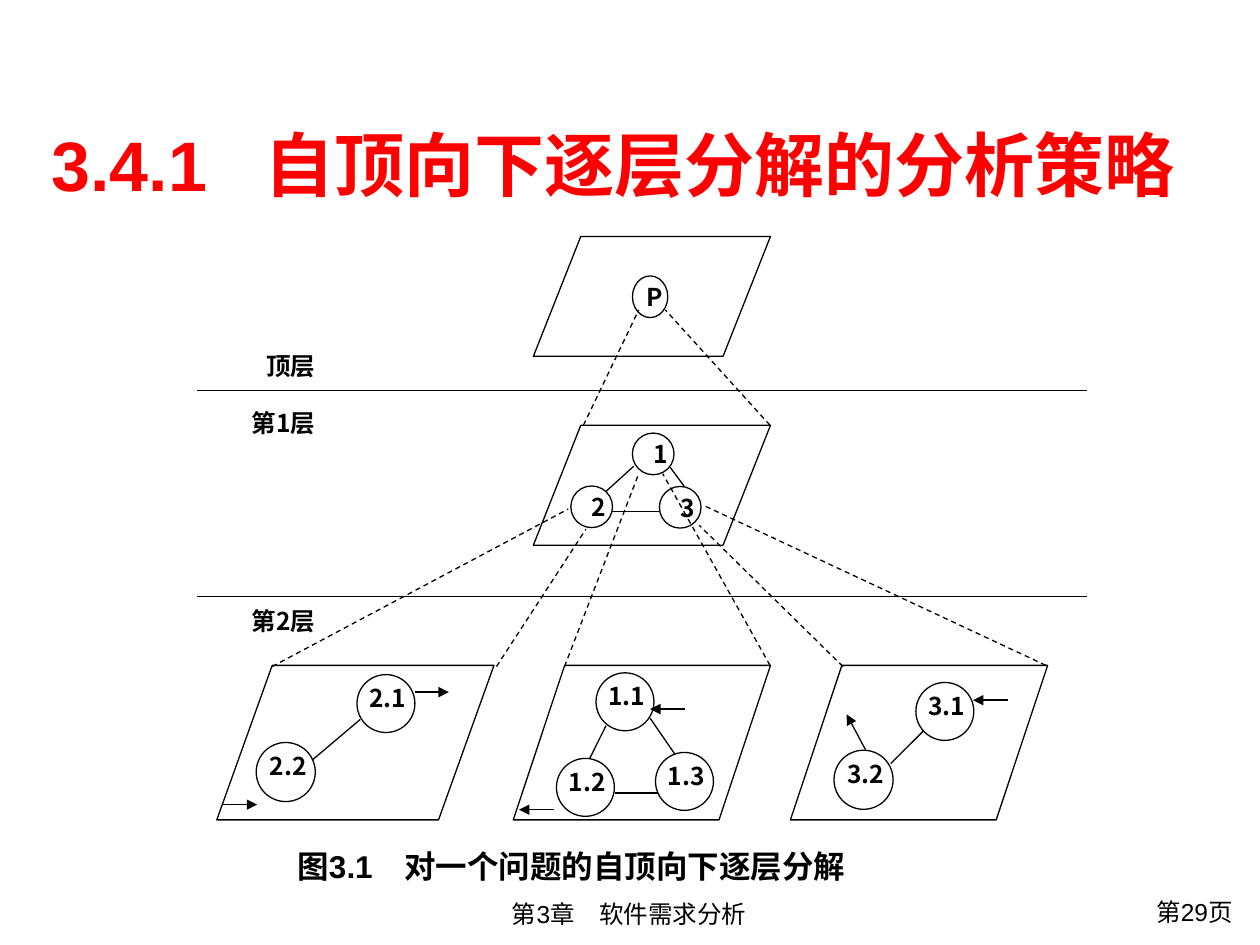
from lxml.etree import SubElement
from pptx import Presentation
from pptx.dml.color import RGBColor
from pptx.enum.dml import MSO_LINE
from pptx.enum.shapes import MSO_CONNECTOR, MSO_SHAPE
from pptx.enum.text import MSO_ANCHOR as ANCHOR, MSO_AUTO_SIZE as AUTO_SIZE, PP_ALIGN as ALIGN
from pptx.oxml.ns import qn
from pptx.util import Pt

BLACK = RGBColor(0, 0, 0)
WHITE = RGBColor(255, 255, 255)
RED = RGBColor(255, 0, 0)
LABEL_FONT = "Noto Sans CJK SC"
LINE_WIDTH = 0.75
TITLE_TAB = 122

TEXTS = [
    ("3.4.1\t自顶向下逐层分解的分析策略", (22.3, 67.7, 680.4, 51.8), 40, True,
     RED, ALIGN.LEFT, ANCHOR.MIDDLE, (7.2, 3.6), True),
    ("图3.1　对一个问题的自顶向下逐层分解", (161, 483.8, 331, 21.6), 18, True,
     BLACK, ALIGN.CENTER, ANCHOR.MIDDLE, (0, 0), False),
    ("第3章　软件需求分析", (169.5, 510, 380.2, 24.5), 14, False,
     BLACK, ALIGN.CENTER, ANCHOR.TOP, (7.2, 3.6), True),
    ("第29页", (615, 509, 96.5, 26.6), 14, False,
     BLACK, ALIGN.RIGHT, ANCHOR.TOP, (7.2, 3.6), True),
]

UPPER_PLANES = [(304.8, 135.1), (304.8, 243)]
UPPER_SIZE = (135.5, 68.5)
LOWER_PLANES = [(123.9, 158.4), (293.3, 147), (451.7, 147)]
LOWER_TOP, LOWER_HEIGHT = 380.2, 88.3

PROCESSES = [
    ("P", 361.4, 157.7, 20.2, 23.8),
    ("1", 361.4, 247.5, 23.8, 23.8),
    ("2", 326.2, 277.7, 23.8, 23.8),
    ("3", 376.8, 278, 23.8, 23.8),
    ("1.1", 340.6, 384.5, 33.1, 33.1),
    ("1.2", 318, 433.4, 33.1, 33.1),
    ("1.3", 374.6, 430, 33.1, 33.1),
    ("2.1", 204, 385.5, 33.1, 33.1),
    ("2.2", 146.4, 424.3, 33.8, 33.8),
    ("3.1", 523.4, 390, 33.1, 33.1),
    ("3.2", 476.6, 428.7, 33.8, 33.8),
]

LEVELS = [("顶层", 200.6), ("第1层", 233.3), ("第2层", 346.3)]
LEVEL_LEFT, LEVEL_WIDTH, LEVEL_HEIGHT = 124, 56.2, 19.4
SEPARATORS = [223.2, 341]
SEPARATOR_LEFT, SEPARATOR_RIGHT = 112.6, 621.4

LINKS = [
    (362.2, 266.4, 346.3, 280.8),
    (383, 267.1, 391, 277.9),
    (376.6, 292.3, 349.9, 292.3),
    (205.9, 411.1, 178.6, 434.2),
    (346.3, 414.7, 337, 433.4),
    (371.5, 410.4, 385.9, 431.3),
    (377.3, 453.1, 351.4, 453.1),
    (528.5, 416.9, 509, 436.3),
]
FLOWS = [
    (236.9, 395.5, 256.5, 395.5),
    (127.4, 459.8, 147, 459.8),
    (391.5, 405.2, 371.5, 405.2),
    (316.6, 462.7, 296.6, 462.7),
    (576, 400.1, 556, 400.1),
    (494.6, 428.4, 483.8, 408.2),
]
EXPANSIONS = [
    (333.4, 243, 365, 177.1),
    (440, 243, 380.2, 177.1),
    (155.5, 380.9, 324.7, 290.9),
    (283.7, 380.9, 334.8, 302.4),
    (322.6, 380.9, 365, 270.7),
    (440, 380.2, 378.7, 270.7),
    (481.7, 380.9, 399.6, 300.2),
    (597.6, 380.2, 401.8, 288.7),
]


def write(shape, words, size, font, bold, color, align, anchor, margins, wrap):
    frame = shape.text_frame
    frame.word_wrap = wrap
    if not wrap:
        frame.auto_size = AUTO_SIZE.SHAPE_TO_FIT_TEXT
    frame.vertical_anchor = anchor
    frame.margin_left = frame.margin_right = Pt(margins[0])
    frame.margin_top = frame.margin_bottom = Pt(margins[1])
    paragraph = frame.paragraphs[0]
    paragraph.text = words
    paragraph.alignment = align
    if "\t" in words:
        tabs = SubElement(paragraph._p.get_or_add_pPr(), qn("a:tabLst"))
        SubElement(tabs, qn("a:tab"), pos=str(Pt(TITLE_TAB)), algn="l")
    paragraph.font.name = font
    paragraph.font.size = Pt(size)
    paragraph.font.bold = bold
    paragraph.font.color.rgb = color


def add_figure(slide, preset, box, words="", outlined=True):
    figure = slide.shapes.add_shape(preset, *map(Pt, box))
    figure.shadow.inherit = False
    figure.fill.solid()
    figure.fill.fore_color.rgb = WHITE
    if outlined:
        figure.line.color.rgb = BLACK
        figure.line.width = Pt(LINE_WIDTH)
    else:
        figure.line.fill.background()
    if words:
        write(figure, words, 14, LABEL_FONT, True, BLACK, ALIGN.RIGHT, ANCHOR.TOP, (0, 0), True)


def add_line(slide, ends, dashed=False, arrow=False):
    connector = slide.shapes.add_connector(MSO_CONNECTOR.STRAIGHT, *map(Pt, ends))
    line = connector.line
    line.color.rgb = BLACK
    line.width = Pt(LINE_WIDTH)
    if dashed:
        line.dash_style = MSO_LINE.DASH
    properties = connector._element.spPr
    if arrow:
        SubElement(properties.find(qn("a:ln")), qn("a:tailEnd"), type="triangle")
    SubElement(properties, qn("a:effectLst"))


def main():
    deck = Presentation()
    deck.slide_width, deck.slide_height = Pt(720), Pt(540)
    slide = deck.slides.add_slide(deck.slide_layouts[6])

    planes = [(*corner, *UPPER_SIZE) for corner in UPPER_PLANES]
    planes += [(left, LOWER_TOP, width, LOWER_HEIGHT) for left, width in LOWER_PLANES]
    for plane in planes:
        add_figure(slide, MSO_SHAPE.FLOWCHART_DATA, plane)
    for link in LINKS:
        add_line(slide, link)
    for name, *box in PROCESSES:
        add_figure(slide, MSO_SHAPE.OVAL, box, name)
    for flow in FLOWS:
        add_line(slide, flow, arrow=True)
    for y in SEPARATORS:
        add_line(slide, (SEPARATOR_LEFT, y, SEPARATOR_RIGHT, y))
    for expansion in EXPANSIONS:
        add_line(slide, expansion, dashed=True)
    for level, top in LEVELS:
        box = (LEVEL_LEFT, top, LEVEL_WIDTH, LEVEL_HEIGHT)
        add_figure(slide, MSO_SHAPE.RECTANGLE, box, level, outlined=False)
    for words, box, size, bold, color, align, anchor, margins, wrap in TEXTS:
        text_box = slide.shapes.add_textbox(*map(Pt, box))
        write(text_box, words, size, "Arial", bold, color, align, anchor, margins, wrap)

    deck.save("out.pptx")


if __name__ == "__main__":
    main()
